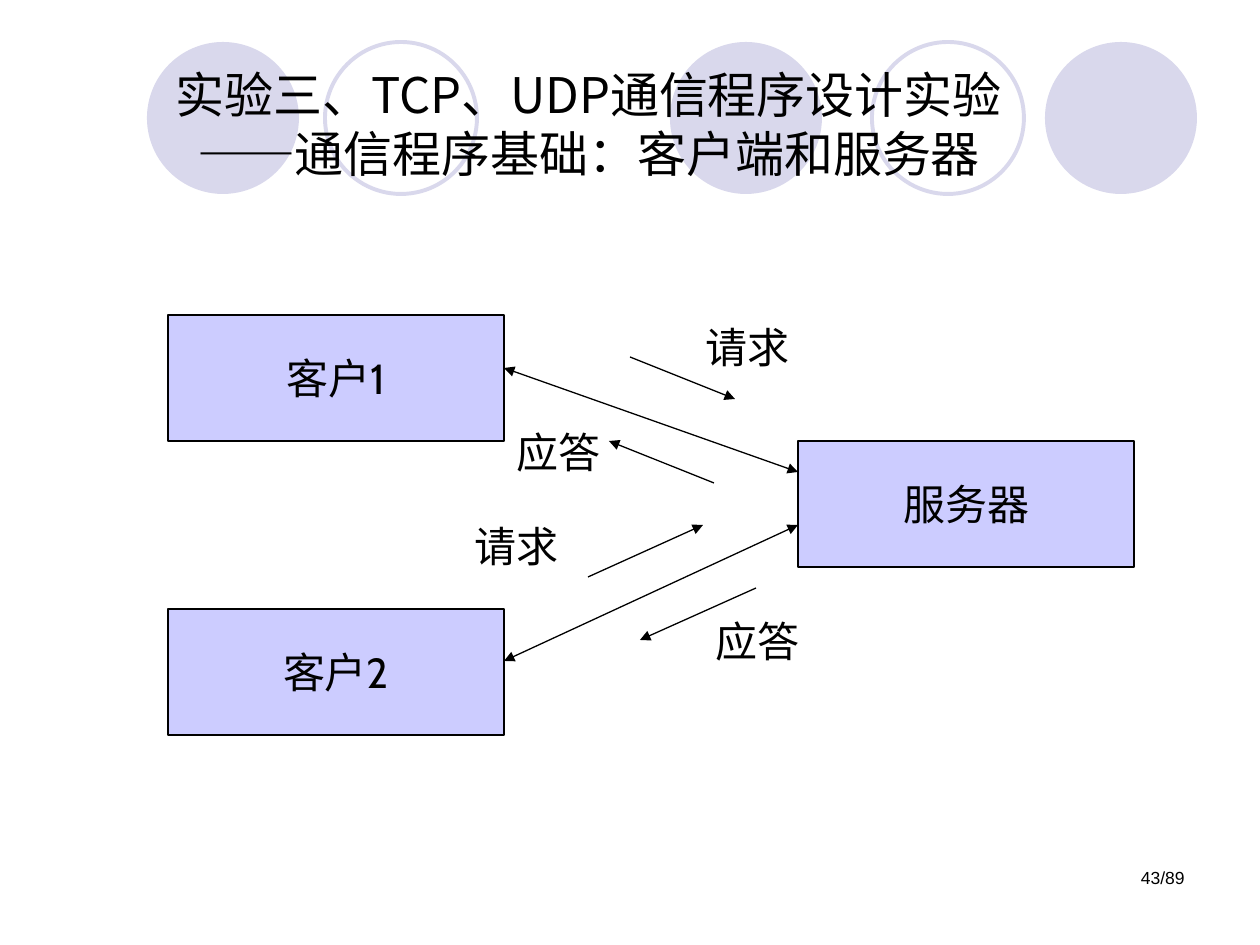
import pptx
import pptx.util
import pptx.dml.color
import pptx.oxml
import pptx.oxml.ns
from pptx.enum.shapes import MSO_CONNECTOR, MSO_SHAPE
from pptx.enum.text import MSO_ANCHOR, MSO_AUTO_SIZE, PP_ALIGN

PX = 914400 / 126
BLACK, BOX_FILL, CIRCLE_COLOUR = "000000", "CCCCFF", "D9D8EC"
CJK_FONT = "Noto Sans CJK JP"
BOX_SIZE = (336, 126)
CIRCLE_SIZE = 152

CIRCLES = [(670, True), (1045, True), (147, True), (872, False), (325, False)]
BOXES = [("客户1", 168, 315), ("客户2", 168, 609), ("服务器", 798, 441)]
LABELS = [("请求", 693, 315, 189), ("应答", 504, 420, 126),
          ("请求", 462, 514, 126), ("应答", 703, 609, 126)]
# Start, end, arrowheads at both ends
ARROWS = [((504, 368), (798, 472), True), ((630, 357), (735, 399), False),
          ((714, 483), (609, 441), False), ((504, 661), (798, 525), True),
          ((588, 577), (703, 525), False), ((756, 588), (640, 640), False)]


def px(*values):
    return [pptx.util.Emu(round(value * PX)) for value in values]


def rgb(colour):
    return pptx.dml.color.RGBColor.from_string(colour)


def set_attributes(target, values):
    for name, value in values.items():
        setattr(target, name, value)


def set_line(line, colour, width):
    line.color.rgb = rgb(colour)
    line.width = pptx.util.Pt(width)


def set_text(shape, text, size, font, paragraph_format=None, **frame_format):
    frame = shape.text_frame
    frame.text = text
    set_attributes(frame, {"word_wrap": True, "auto_size": MSO_AUTO_SIZE.NONE,
                           "vertical_anchor": MSO_ANCHOR.TOP, **frame_format})
    for paragraph in frame.paragraphs:
        set_attributes(paragraph, paragraph_format or {})
        for run in paragraph.runs:
            set_attributes(run.font, {"size": pptx.util.Pt(size), "name": font})
            run.font.color.rgb = rgb(BLACK)
            east_asian = pptx.oxml.parse_xml(
                f'<a:ea {pptx.oxml.ns.nsdecls("a")} typeface="{CJK_FONT}"/>')
            run.font._element.find(pptx.oxml.ns.qn("a:latin")).addnext(east_asian)


def add_circle(slide, left, filled):
    circle = slide.shapes.add_shape(
        MSO_SHAPE.OVAL, *px(left, 42, CIRCLE_SIZE, CIRCLE_SIZE))
    circle.shadow.inherit = False
    if filled:
        circle.fill.solid()
        circle.fill.fore_color.rgb = rgb(CIRCLE_COLOUR)
        circle.line.fill.background()
    else:
        circle.fill.background()
        set_line(circle.line, CIRCLE_COLOUR, 2.25)


def add_box(slide, text, left, top):
    box = slide.shapes.add_shape(
        MSO_SHAPE.FLOWCHART_PROCESS, *px(left, top, *BOX_SIZE))
    box.shadow.inherit = False
    box.fill.solid()
    box.fill.fore_color.rgb = rgb(BOX_FILL)
    set_line(box.line, BLACK, 0.75)
    set_text(box, text, 24, "Cabin", {"alignment": PP_ALIGN.CENTER},
             word_wrap=False, vertical_anchor=MSO_ANCHOR.MIDDLE)


def add_arrow(slide, start, end, both_ends):
    arrow = slide.shapes.add_connector(
        MSO_CONNECTOR.STRAIGHT, *px(*start, *end))
    set_line(arrow.line, BLACK, 0.75)
    namespace = pptx.oxml.ns.nsdecls("a")
    line = arrow.line._get_or_add_ln()
    for end_name in (["headEnd"] if both_ends else []) + ["tailEnd"]:
        line.append(pptx.oxml.parse_xml(
            f'<a:{end_name} {namespace} type="triangle"/>'))
    line.addnext(pptx.oxml.parse_xml(f"<a:effectLst {namespace}/>"))


def add_text(slide, text, position, size, font, paragraph_format, **frame_format):
    box = slide.shapes.add_textbox(*px(*position))
    set_text(box, text, size, font, paragraph_format, **frame_format)


def set_title(slide, text):
    title = slide.shapes.title
    set_attributes(title, dict(zip(("left", "top", "width", "height"),
                                   px(0, 32, 1177, 157))))
    set_text(title, text, 28, CJK_FONT, {"alignment": PP_ALIGN.CENTER},
             vertical_anchor=MSO_ANCHOR.BOTTOM)
    # Keep the title in front of the circles
    slide.shapes._spTree.append(title._element)


def main():
    presentation = pptx.Presentation()
    set_attributes(presentation, dict(zip(("slide_width", "slide_height"),
                                          px(1260, 945))))
    slide = presentation.slides.add_slide(presentation.slide_layouts[5])

    # Background circles
    for circle in CIRCLES:
        add_circle(slide, *circle)

    # Clients, server and the messages between them
    for box in BOXES:
        add_box(slide, *box)
    for arrow in ARROWS:
        add_arrow(slide, *arrow)
    for text, left, top, width in LABELS:
        add_text(slide, text, (left, top, width, 63), 24, "Cabin",
                 {"space_before": pptx.util.Pt(15)},
                 auto_size=MSO_AUTO_SIZE.SHAPE_TO_FIT_TEXT)

    # Title and page number
    set_title(slide, "实验三、TCP、UDP通信程序设计实验\v——通信程序基础：客户端和服务器")
    add_text(slide, "43/89", (903, 861, 294, 63), 10, "Arial",
             {"alignment": PP_ALIGN.RIGHT})

    presentation.save("out.pptx")


if __name__ == "__main__":
    main()
